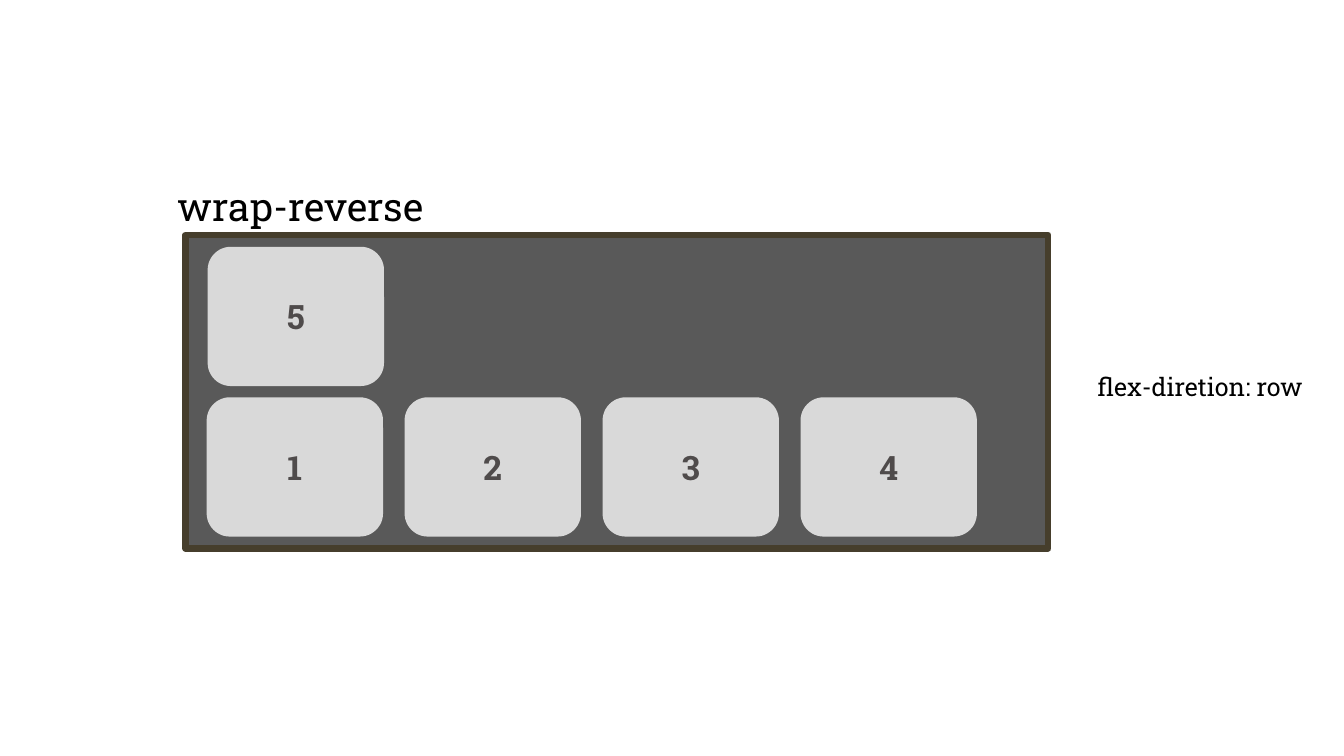
from pptx import Presentation
from pptx.dml.color import RGBColor
from pptx.enum.shapes import MSO_SHAPE
from pptx.enum.text import MSO_ANCHOR, MSO_AUTO_SIZE, PP_ALIGN
from pptx.util import Pt

RECTANGLE = MSO_SHAPE.RECTANGLE
ROUNDED = MSO_SHAPE.ROUNDED_RECTANGLE
TOP, MIDDLE = MSO_ANCHOR.TOP, MSO_ANCHOR.MIDDLE
LEFT, CENTER = PP_ALIGN.LEFT, PP_ALIGN.CENTER
NO_AUTO_SIZE = MSO_AUTO_SIZE.NONE
TITLE_ONLY = 5


def color(hex_string):
    return RGBColor.from_string(hex_string)


def write(shape, text, size=18, fill="000000", bold=False, align=LEFT, anchor=TOP):
    frame = shape.text_frame
    frame.word_wrap = True
    frame.auto_size = NO_AUTO_SIZE
    frame.vertical_anchor = anchor
    paragraph = frame.paragraphs[0]
    paragraph.alignment = align
    paragraph.line_spacing = 1
    paragraph.space_before = Pt(0)
    run = paragraph.add_run()
    run.text = text
    run.font.name = SlideBuilder.FONT
    run.font.size = Pt(size)
    run.font.bold = bold
    run.font.color.rgb = color(fill)


class SlideBuilder:
    FONT = "Roboto Slab"
    CONTAINER_FILL, CONTAINER_LINE = "595959", "463E2C"
    ITEM_FILL, ITEM_TEXT = "D9D9D9", "4F4B4B"

    def __init__(self, presentation):
        self.slide = presentation.slides.add_slide(presentation.slide_layouts[TITLE_ONLY])

    def title(self, text, left, top, width, height):
        shape = self.slide.shapes.title
        shape.left, shape.top = Pt(left), Pt(top)
        shape.width, shape.height = Pt(width), Pt(height)
        write(shape, text, size=28)

    def label(self, text, left, top, width, height):
        shape = self.slide.shapes.add_textbox(Pt(left), Pt(top), Pt(width), Pt(height))
        write(shape, text)

    def box(self, kind, left, top, width, height, fill):
        shape = self.slide.shapes.add_shape(kind, Pt(left), Pt(top), Pt(width), Pt(height))
        shape.shadow.inherit = False
        shape.fill.solid()
        shape.fill.fore_color.rgb = color(fill)
        shape.line.fill.background()
        return shape

    def container(self, left, top, width, height):
        shape = self.box(RECTANGLE, left, top, width, height, self.CONTAINER_FILL)
        shape.line.color.rgb = color(self.CONTAINER_LINE)
        shape.line.width = Pt(4.5)

    def item(self, text, left, top, width=126, height=99.5):
        shape = self.box(ROUNDED, left, top, width, height, self.ITEM_FILL)
        write(shape, text, size=24, fill=self.ITEM_TEXT, bold=True,
              align=CENTER, anchor=MIDDLE)


def main():
    presentation = Presentation()
    presentation.slide_width, presentation.slide_height = Pt(960), Pt(540)
    builder = SlideBuilder(presentation)

    # Heading and flex container
    builder.title("wrap-reverse", 119.5, 126.7, 246.2, 41)
    builder.container(132.5, 167.8, 616.3, 223.9)

    # First line of items at the bottom, wrapped item above it
    first_left, pitch = 147.6, 141.4
    for column in range(4):
        builder.item(str(column + 1), first_left + column * pitch, 283.8)
    builder.item("5", 148.3, 176.3)

    # Direction note
    builder.label("flex-diretion: row", 776.9, 261.4, 162.7, 28.8)

    presentation.save("out.pptx")


if __name__ == "__main__":
    main()
